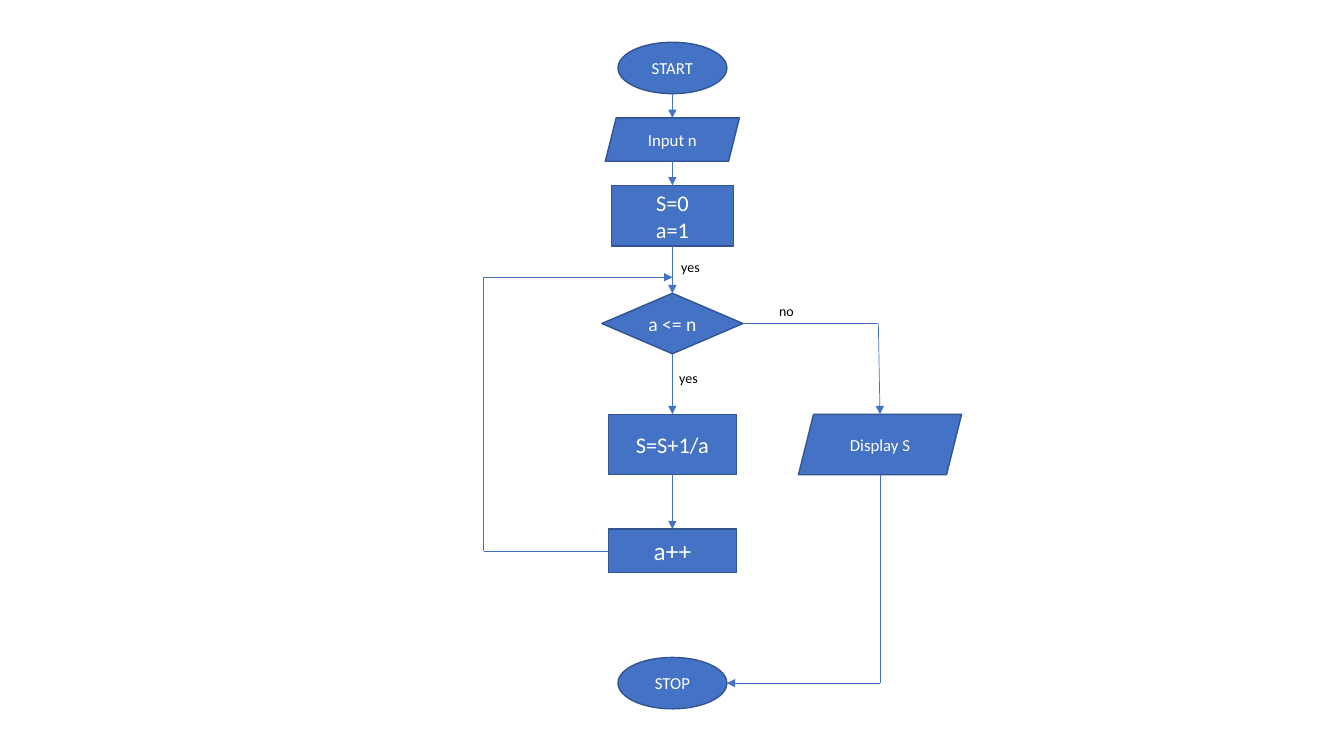
from lxml import etree
from pptx import Presentation
from pptx import util as u
from pptx.dml.color import RGBColor
from pptx.enum import shapes, text
from pptx.oxml.ns import qn

FONT = "Calibri"
BLUE, OUTLINE, WHITE, BLACK = "4472C4", "325491", "FFFFFF", "000000"
MAIN_X, OUTPUT_X, LOOP_X = 480.3, 628.6, 345.6

# name: (preset, text, text size, centre x, top, width, height)
KIND = shapes.MSO_SHAPE
STEPS = {
    "start": (KIND.OVAL, "START", 12, MAIN_X, 30.2, 77.8, 36.7),
    "input": (KIND.PARALLELOGRAM, "Input n", 12, MAIN_X, 84.2, 95.8, 31),
    "init": (KIND.RECTANGLE, "S=0\na=1", 16, MAIN_X, 132.5, 87.1, 43.2),
    "test": (KIND.DIAMOND, "a <= n", 14, MAIN_X, 209.5, 100.8, 43.2),
    "sum": (KIND.RECTANGLE, "S=S+1/a", 16, MAIN_X, 295.9, 91.4, 43.2),
    "next": (KIND.RECTANGLE, "a++", 18, MAIN_X, 378, 91.4, 31),
    "display": (KIND.PARALLELOGRAM, "Display S", 12, OUTPUT_X, 295.9, 116.6, 43.2),
    "stop": (KIND.OVAL, "STOP", 12, MAIN_X, 469.6, 77.8, 36.7),
}
MAIN_FLOW = ["start", "input", "init", "test", "sum", "next"]

# text, left, top, width
LABELS = [("yes", 479.5, 181.4, 28.1), ("no", 549.4, 212.4, 25.2),
          ("yes", 478.1, 260.6, 28.1)]
LABEL_HEIGHT = 19.4


def color(value):
    return RGBColor.from_string(value)


def side(name, where):
    """Midpoint of one side of a step."""
    _, _, _, center, top, width, height = STEPS[name]
    return {
        "top": (center, top),
        "bottom": (center, top + height),
        "left": (center - width / 2, top + height / 2),
        "right": (center + width / 2, top + height / 2),
    }[where]


def write(shape, words, size, ink, align):
    frame = shape.text_frame
    frame.text = words
    for paragraph in frame.paragraphs:
        paragraph.alignment = align
        paragraph.font.name = FONT
        paragraph.font.size = u.Pt(size)
        paragraph.font.color.rgb = color(ink)


def add_step(slide, preset, words, size, center, top, width, height):
    shape = slide.shapes.add_shape(
        preset, u.Pt(center - width / 2), u.Pt(top), u.Pt(width), u.Pt(height))
    shape.shadow.inherit = False
    shape.fill.solid()
    shape.fill.fore_color.rgb = color(BLUE)
    shape.line.color.rgb = color(OUTLINE)
    shape.line.width = u.Pt(1)
    write(shape, words, size, WHITE, text.PP_ALIGN.CENTER)
    shape.text_frame.vertical_anchor = text.MSO_ANCHOR.MIDDLE


def add_route(slide, *points):
    """Straight segments through the points, with an arrowhead on the last."""
    for begin, end in zip(points, points[1:]):
        line = slide.shapes.add_connector(
            shapes.MSO_CONNECTOR.STRAIGHT, *map(u.Pt, begin + end))
        line.line.color.rgb = color(BLUE)
        line.line.width = u.Pt(0.5)
        properties = line._element.spPr
        etree.SubElement(properties, qn("a:effectLst"))
    etree.SubElement(properties.find(qn("a:ln")), qn("a:tailEnd"), type="triangle")


def add_label(slide, words, left, top, width):
    box = slide.shapes.add_textbox(
        u.Pt(left), u.Pt(top), u.Pt(width), u.Pt(LABEL_HEIGHT))
    box.text_frame.word_wrap = False
    box.text_frame.auto_size = text.MSO_AUTO_SIZE.SHAPE_TO_FIT_TEXT
    write(box, words, 10, BLACK, text.PP_ALIGN.LEFT)


def main():
    presentation = Presentation()
    presentation.slide_width = u.Pt(960)
    presentation.slide_height = u.Pt(540)
    slide = presentation.slides.add_slide(presentation.slide_layouts[6])

    # Flowchart steps
    for step in STEPS.values():
        add_step(slide, *step)

    # Main flow, top to bottom
    for upper, lower in zip(MAIN_FLOW, MAIN_FLOW[1:]):
        add_route(slide, side(upper, "bottom"), side(lower, "top"))

    # Loop back to the test
    loop_start = side("next", "left")
    loop_top = 198
    add_route(slide, loop_start, (LOOP_X, loop_start[1]),
              (LOOP_X, loop_top), (MAIN_X, loop_top))

    # Exit from the test, through the output, to the end
    test_exit, stop_entry = side("test", "right"), side("stop", "right")
    add_route(slide, test_exit, (OUTPUT_X - 1.2, test_exit[1]), side("display", "top"))
    add_route(slide, side("display", "bottom"), (OUTPUT_X, stop_entry[1]), stop_entry)

    # Branch labels
    for label in LABELS:
        add_label(slide, *label)

    presentation.save("out.pptx")


if __name__ == "__main__":
    main()
